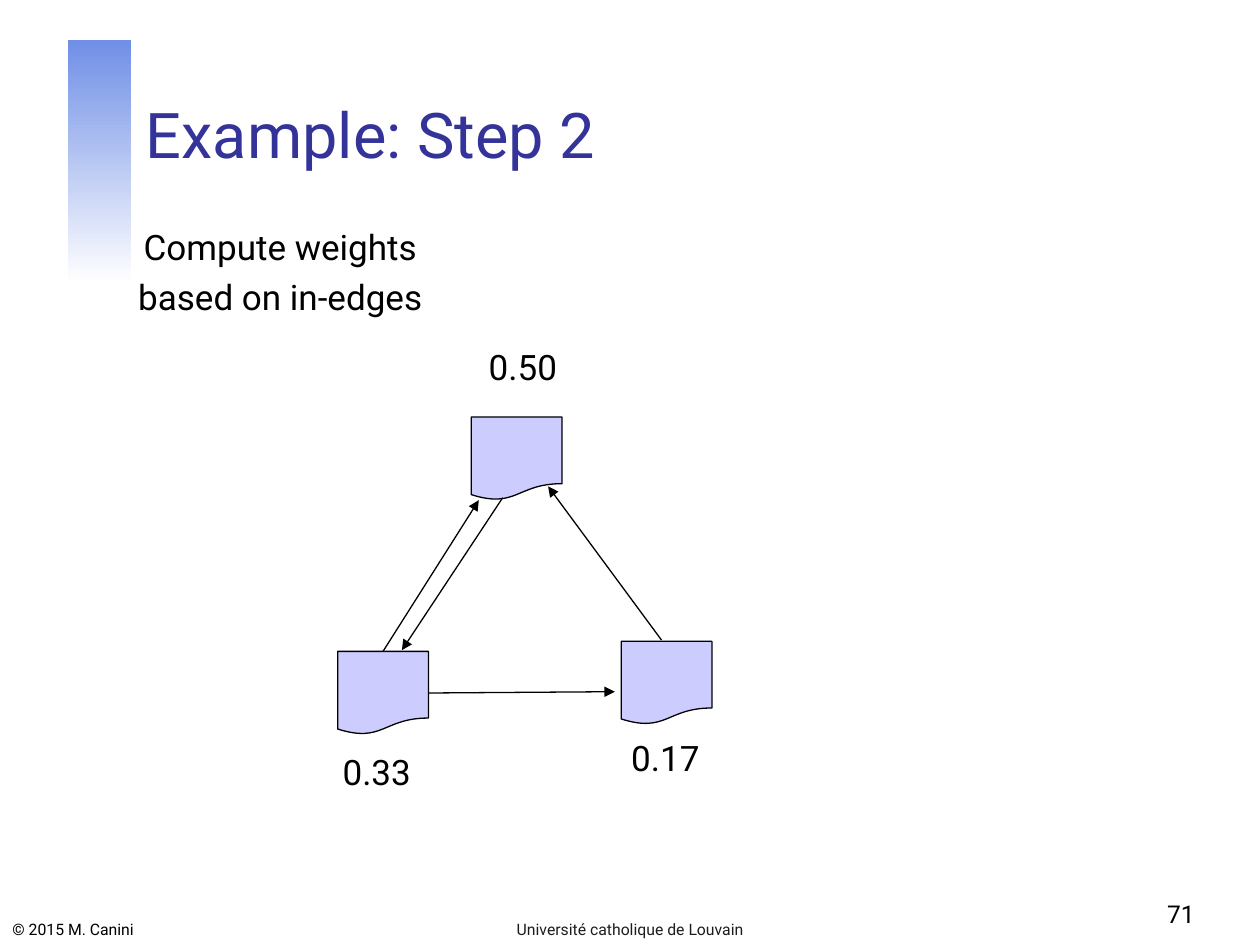
import pptx
import pptx.dml.color
import pptx.enum.dml
import pptx.enum.shapes
import pptx.enum.text
import pptx.oxml
import pptx.oxml.ns
import pptx.util

COLORS = {
    "bar": "708FE6",
    "white": "FFFFFF",
    "title": "333399",
    "page": "CCCCFF",
    "ink": "000000",
    "footer": "1C1C1C",
}
FONT = "Roboto"
ALIGN = pptx.enum.text.PP_ALIGN
ANCHOR = pptx.enum.text.MSO_ANCHOR
SHAPE = pptx.enum.shapes.MSO_SHAPE

# The slide is a grid of 100 columns by 75 rows of square cells
WIDTH = pptx.util.Inches(10)
HEIGHT = pptx.util.Inches(7.5)
COLUMNS, ROWS = 100, 75
PAGE_SIZE = (7.2, 6.6)
WEIGHT_SIZE = (7.8, 5)
TOP, RIGHT = 0, 3  # connection sites


def color(name):
    return pptx.dml.color.RGBColor.from_string(COLORS[name])


def place(*cells):
    """Turn alternating columns and rows into slide lengths."""
    steps = (WIDTH / COLUMNS, HEIGHT / ROWS)
    return [round(cell * steps[i % 2]) for i, cell in enumerate(cells)]


def add_text(slide, area, lines, size, ink="ink", align=ALIGN.LEFT,
             anchor=ANCHOR.BOTTOM, wrap=True):
    box = slide.shapes.add_textbox(*place(*area))
    frame = box.text_frame
    frame.word_wrap = wrap
    frame.vertical_anchor = anchor
    for index, line in enumerate(lines):
        para = frame.paragraphs[0] if index == 0 else frame.add_paragraph()
        para.text = line
        para.alignment = align
        if index:
            para.space_before = pptx.util.Pt(size * 0.235)
        para.font.name = FONT
        para.font.size = pptx.util.Pt(size)
        para.font.color.rgb = color(ink)


def add_label(slide, area, *lines):
    add_text(slide, area, lines, 20, align=ALIGN.CENTER,
             anchor=ANCHOR.TOP, wrap=False)


def add_gradient_bar(slide, area):
    bar = slide.shapes.add_shape(SHAPE.RECTANGLE, *place(*area))
    bar.shadow.inherit = False
    bar.line.fill.background()
    bar.fill.gradient()
    bar.fill.gradient_angle = 270
    for stop, name in zip(bar.fill.gradient_stops, ("bar", "white")):
        stop.color.rgb = color(name)


def add_page(slide, corner):
    page = slide.shapes.add_shape(SHAPE.FLOWCHART_DOCUMENT,
                                  *place(*corner, *PAGE_SIZE))
    page.shadow.inherit = False
    page.fill.solid()
    page.fill.fore_color.rgb = color("page")
    page.line.color.rgb = color("ink")
    page.line.width = pptx.util.Pt(0.75)
    return page


def add_arrow(slide, start, end):
    arrow = slide.shapes.add_connector(
        pptx.enum.shapes.MSO_CONNECTOR.STRAIGHT, *place(*start, *end))
    arrow.line.color.rgb = color("ink")
    arrow.line.width = pptx.util.Pt(0.75)
    # Arrowhead at the end, and no shadow
    properties = arrow._element.spPr
    head = pptx.oxml.parse_xml(
        '<a:tailEnd %s type="triangle"/>' % pptx.oxml.ns.nsdecls("a"))
    properties.find(pptx.oxml.ns.qn("a:ln")).append(head)
    properties.append(pptx.oxml.parse_xml(
        "<a:effectLst %s/>" % pptx.oxml.ns.nsdecls("a")))
    return arrow


def add_graph(slide):
    # Pages, each with its weight
    add_page(slide, (37.4, 33.1))
    left_page = add_page(slide, (26.8, 51.7))
    add_page(slide, (49.3, 50.9))
    for corner, weight in (((37.6, 26.9), "0.50"),
                           ((26, 59.1), "0.33"),
                           ((48.9, 58), "0.17")):
        add_label(slide, (*corner, *WEIGHT_SIZE), weight)

    # Links between the pages
    left_to_top = add_arrow(slide, (30.4, 51.7), (38, 39.7))
    left_to_top.begin_connect(left_page, TOP)
    left_to_right = add_arrow(slide, (34, 54.9), (48.8, 54.9))
    left_to_right.begin_connect(left_page, RIGHT)
    add_arrow(slide, (52.5, 50.8), (43.5, 38.6))
    add_arrow(slide, (39.9, 39.5), (31.9, 51.6))


def main():
    deck = pptx.Presentation()
    deck.slide_width, deck.slide_height = WIDTH, HEIGHT
    slide = deck.slides.add_slide(deck.slide_layouts[6])

    # Heading
    add_gradient_bar(slide, (5.4, 3.2, 5, 19.3))
    add_text(slide, (10.6, 3.3, 85.2, 10.8), ["Example: Step 2"], 36, "title")

    # Body
    add_label(slide, (9.9, 17.4, 24.7, 8.4),
              "Compute weights", "based on in-edges")
    add_graph(slide)

    # Footer
    add_text(slide, (0, 72.2, 30.2, 2.8), ["© 2015 M. Canini"], 9)
    add_text(slide, (34.2, 72.2, 31.6, 2.8),
             ["Université catholique de Louvain"], 9, "footer", ALIGN.CENTER)
    add_text(slide, (75, 69.2, 20.8, 5), ["71"], 14, align=ALIGN.RIGHT)

    deck.save("out.pptx")


if __name__ == "__main__":
    main()
